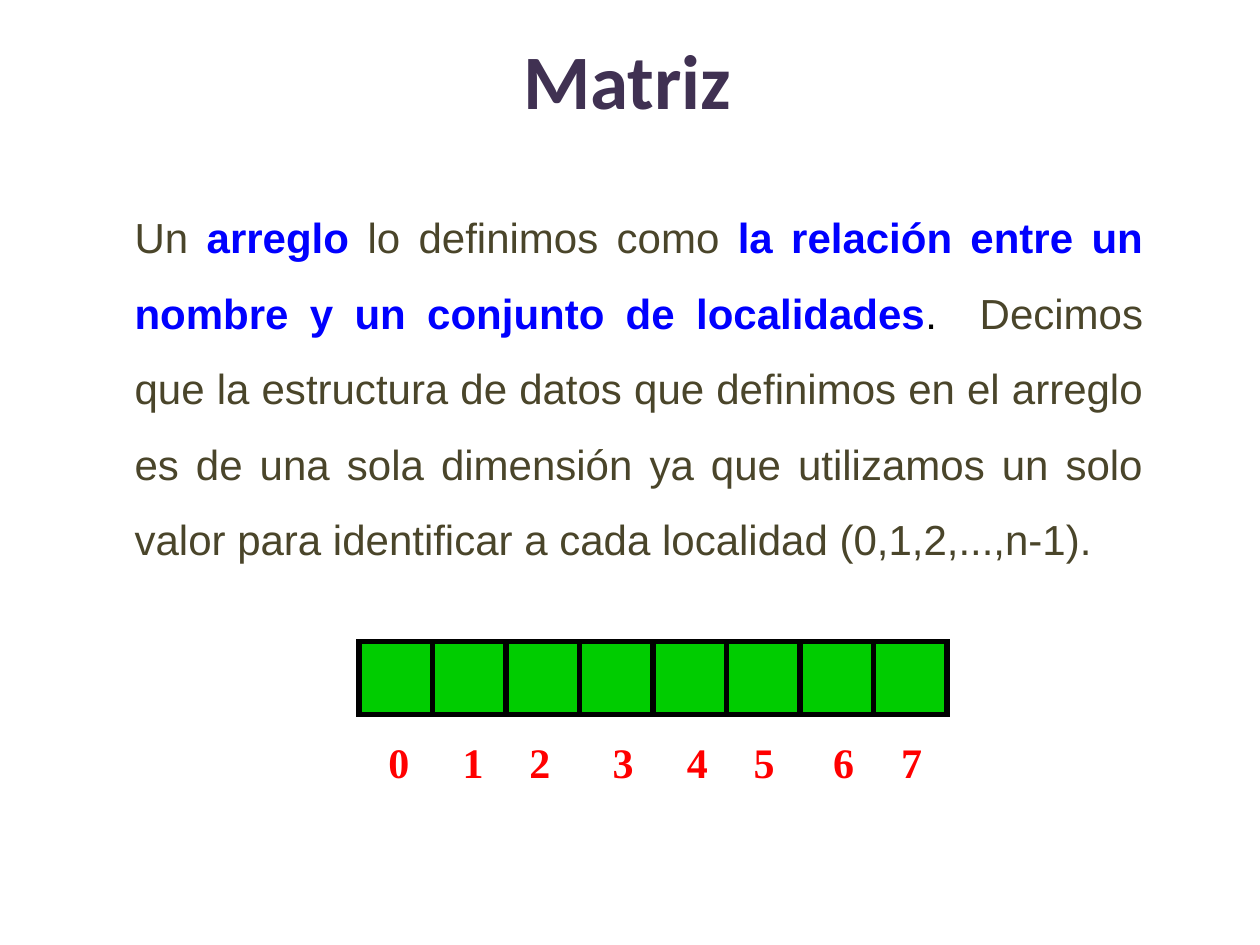
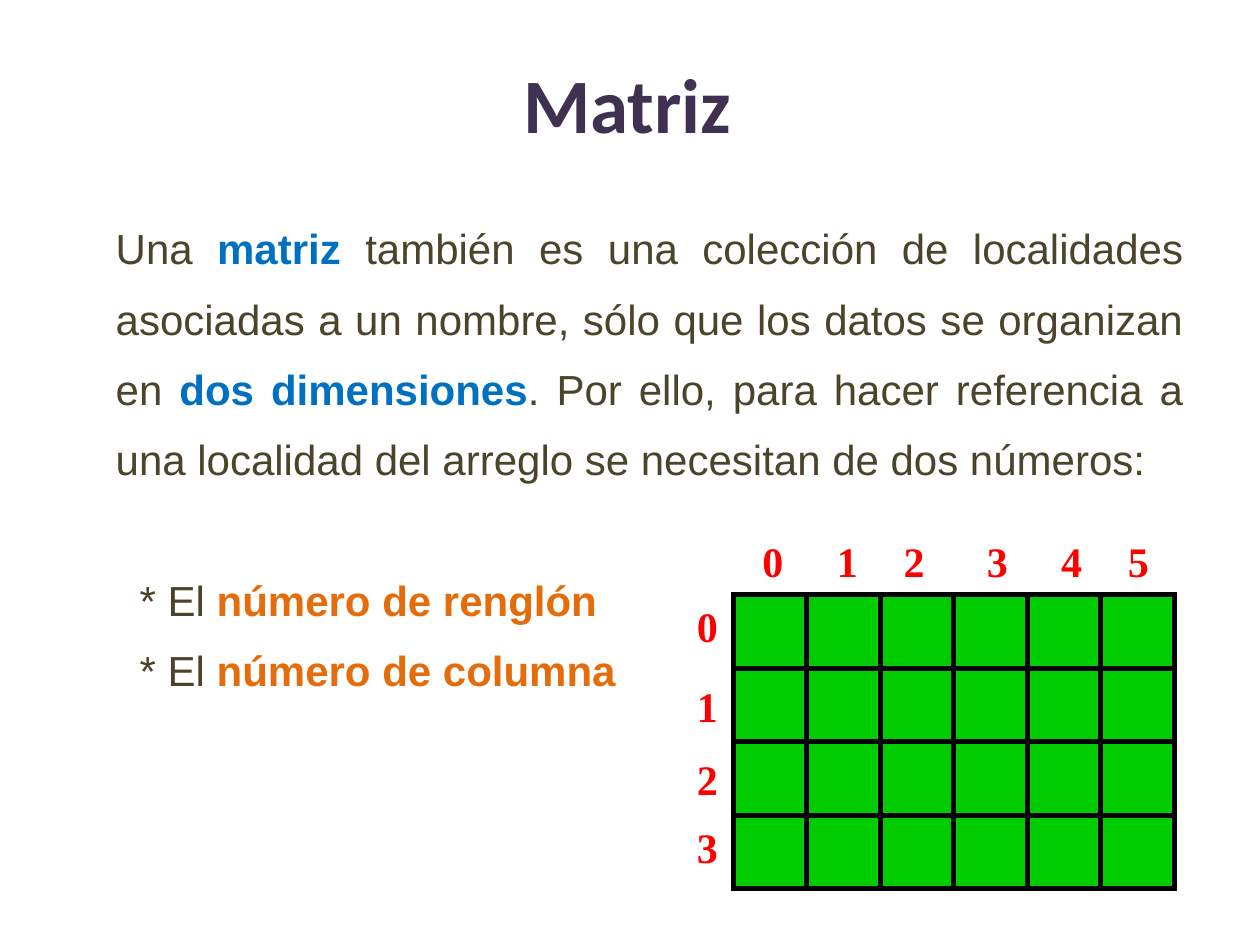
"""Build two slides on one- and two-dimensional arrays."""
from dataclasses import dataclass

from lxml import etree
from pptx import Presentation
from pptx.dml.color import RGBColor
from pptx.enum.shapes import MSO_SHAPE
from pptx.enum.text import MSO_ANCHOR, PP_ALIGN
from pptx.oxml.ns import qn
from pptx.util import Inches, Pt

RECTANGLE = MSO_SHAPE.RECTANGLE
TOP, MIDDLE = MSO_ANCHOR.TOP, MSO_ANCHOR.MIDDLE
CENTER, JUSTIFY = PP_ALIGN.CENTER, PP_ALIGN.JUSTIFY

COLORS = {
    "title": "403152",
    "body": "4A452A",
    "array": "0000FF",
    "matrix": "0070C0",
    "index": "E46C0A",
    "stop": "000000",
    "cell": "00CC00",
    "border": "000000",
    "label": "FF0000",
    "label_fill": "FFFFFF",
}
TITLE_FONT = {"name": "Calibri", "size": Pt(44), "bold": True}
BODY_FONT = {"name": "Arial", "size": Pt(24), "bold": False}
LABEL_FONT = {"name": "Times New Roman", "size": Pt(24), "bold": True}

TITLE_ONLY = 5
CELL = 7 / 12
LABEL_WIDTH, LABEL_HEIGHT = 0.37, 0.5
# Label positions measured from the left or top edge of the grid
COLUMN_OFFSETS = (0.13, 0.72, 1.25, 1.91, 2.5, 3.03, 3.66, 4.2)
ROW_OFFSETS = (0, 0.63, 1.21, 1.75)


@dataclass(frozen=True)
class Area:
    """A rectangle on the page, in inches."""
    left: float
    top: float
    width: float
    height: float

    def lengths(self) -> tuple:
        """Return the four measures as lengths."""
        return tuple(map(Inches, (self.left, self.top, self.width, self.height)))


@dataclass(frozen=True)
class Span:
    """A stretch of text in one colour."""
    text: str
    color: str = "body"
    bold: bool = False


@dataclass(frozen=True)
class Block:
    """A paragraph with its indent in inches and the space above in points."""
    spans: tuple
    indent: float = 0
    space_before: float = 0


@dataclass(frozen=True)
class Grid:
    """A block of square cells with numbered columns."""
    left: float
    top: float
    columns: int
    rows: int
    label_top: float
    filled_labels: bool = False


def color(name: str) -> RGBColor:
    """Look up a colour by its role."""
    return RGBColor.from_string(COLORS[name])


def add_span(para, span: Span, font: dict) -> None:
    """Add a formatted run to a paragraph."""
    run = para.add_run()
    run.text = span.text
    for key, value in font.items():
        setattr(run.font, key, value)
    run.font.bold = font["bold"] or span.bold
    run.font.color.rgb = color(span.color)


def add_page(deck, title_area: Area):
    """Add a page with the shared title style."""
    page = deck.slides.add_slide(deck.slide_layouts[TITLE_ONLY])
    title = page.shapes.title
    title.left, title.top, title.width, title.height = title_area.lengths()
    title.text_frame.vertical_anchor = MIDDLE
    para = title.text_frame.paragraphs[0]
    para.alignment = CENTER
    add_span(para, Span("Matriz", "title"), TITLE_FONT)
    return page


def add_body(page, area: Area, blocks: tuple, line_height: float) -> None:
    """Add justified paragraphs with a line height in points."""
    frame = page.shapes.add_textbox(*area.lengths()).text_frame
    frame.word_wrap = True
    frame.vertical_anchor = TOP
    for number, block in enumerate(blocks):
        para = frame.add_paragraph() if number else frame.paragraphs[0]
        settings = {
            "alignment": JUSTIFY,
            "line_spacing": Pt(line_height),
            "space_before": Pt(block.space_before),
        }
        for key, value in settings.items():
            setattr(para, key, value)
        para._p.get_or_add_pPr().set("marL", str(Inches(block.indent)))
        for span in block.spans:
            add_span(para, span, BODY_FONT)


def add_rectangle(page, area: Area, fill: str):
    """Add a rectangle with a plain fill and no shadow."""
    box = page.shapes.add_shape(RECTANGLE, *area.lengths())
    box.shadow.inherit = False
    box.fill.solid()
    box.fill.fore_color.rgb = color(fill)
    return box


def add_label(page, number: int, left: float, top: float, filled: bool = False) -> None:
    """Add one index number, on a filled rectangle if asked."""
    area = Area(left, top, LABEL_WIDTH, LABEL_HEIGHT)
    if filled:
        box = add_rectangle(page, area, "label_fill")
        box.line.fill.background()
    else:
        box = page.shapes.add_textbox(*area.lengths())
    frame = box.text_frame
    frame.word_wrap = False
    frame.vertical_anchor = TOP
    para = frame.paragraphs[0]
    para.alignment = CENTER
    add_span(para, Span(str(number), "label"), LABEL_FONT)


def add_cell(page, left: float, top: float) -> None:
    """Add one square cell with sharp corners."""
    cell = add_rectangle(page, Area(left, top, CELL, CELL), "cell")
    cell.line.color.rgb = color("border")
    cell.line.width = Pt(3)
    outline = cell._element.spPr.find(qn("a:ln"))
    etree.SubElement(outline, qn("a:miter")).set("lim", "800000")


def add_grid(page, grid: Grid) -> None:
    """Add the cells and the column numbers of a grid."""
    for row in range(grid.rows):
        for column in range(grid.columns):
            add_cell(page, grid.left + column * CELL, grid.top + row * CELL)
    for number, offset in enumerate(COLUMN_OFFSETS[:grid.columns]):
        add_label(page, number, grid.left + offset, grid.label_top, grid.filled_labels)


def add_array_page(deck) -> None:
    """Add the page on the one-dimensional array."""
    page = add_page(deck, Area(2.44, 0.21, 5.08, 0.83))
    definition = Block((
        Span("Un "),
        Span("arreglo ", "array", True),
        Span("lo definimos como "),
        Span("la relación entre un nombre y un conjunto de localidades", "array", True),
        Span(".  ", "stop"),
        Span("Decimos que la estructura de datos que definimos en el arreglo es de "
             "una sola dimensión ya que utilizamos un solo valor para identificar "
             "a cada localidad (0,1,2,...,n-1)."),
    ))
    add_body(page, Area(0.97, 1.43, 8.2, 3.74), (definition,), 43.2)
    add_grid(page, Grid(2.85, 5.09, columns=8, rows=1, label_top=5.8,
                        filled_labels=True))


def add_matrix_page(deck) -> None:
    """Add the page on the two-dimensional array."""
    page = add_page(deck, Area(2.44, 0.24, 5.08, 1.15))
    line_height = 40.2
    definition = Block((
        Span("Una "),
        Span("matriz", "matrix", True),
        Span(" también es una colección de localidades asociadas a un nombre, "
             "sólo que los datos se organizan en "),
        Span("dos dimensiones", "matrix", True),
        Span(". Por ello, para hacer referencia a una localidad del arreglo "
             "se necesitan de dos números:"),
    ))
    indices = tuple(
        Block((Span("* El "), Span(f"número de {name}", "index", True)), 0.19, gap)
        for name, gap in (("renglón", line_height), ("columna", 0))
    )
    add_body(page, Area(0.82, 1.56, 8.67, 4.08), (definition, *indices), line_height)
    grid = Grid(5.82, 4.72, columns=6, rows=4, label_top=4.2)
    add_grid(page, grid)
    for number, offset in enumerate(ROW_OFFSETS):
        add_label(page, number, 5.43, grid.top + offset)


def main() -> None:
    """Build and save the deck."""
    deck = Presentation()
    deck.slide_width, deck.slide_height = Inches(10), Inches(7.5)
    add_array_page(deck)
    add_matrix_page(deck)
    deck.save("out.pptx")


main()
